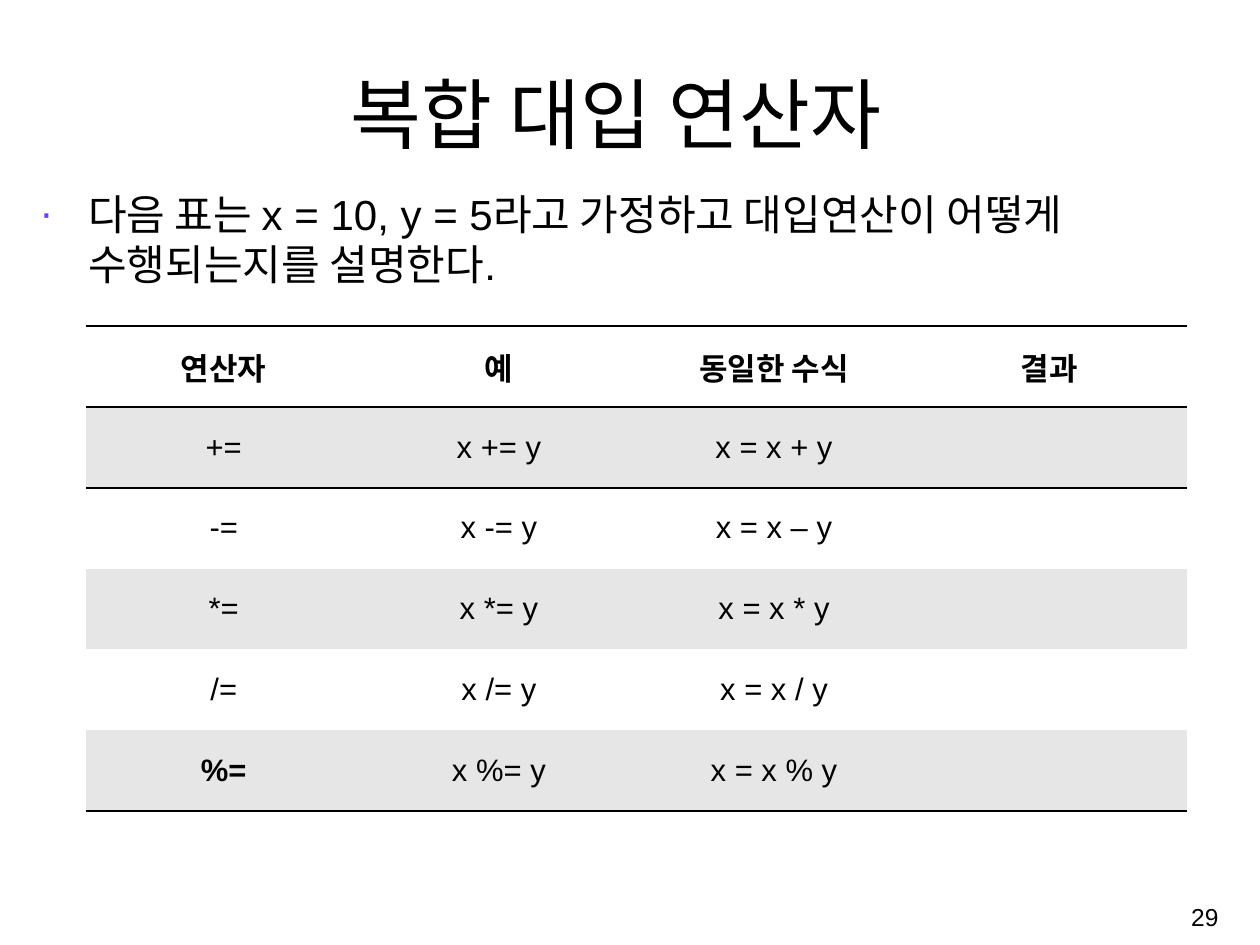
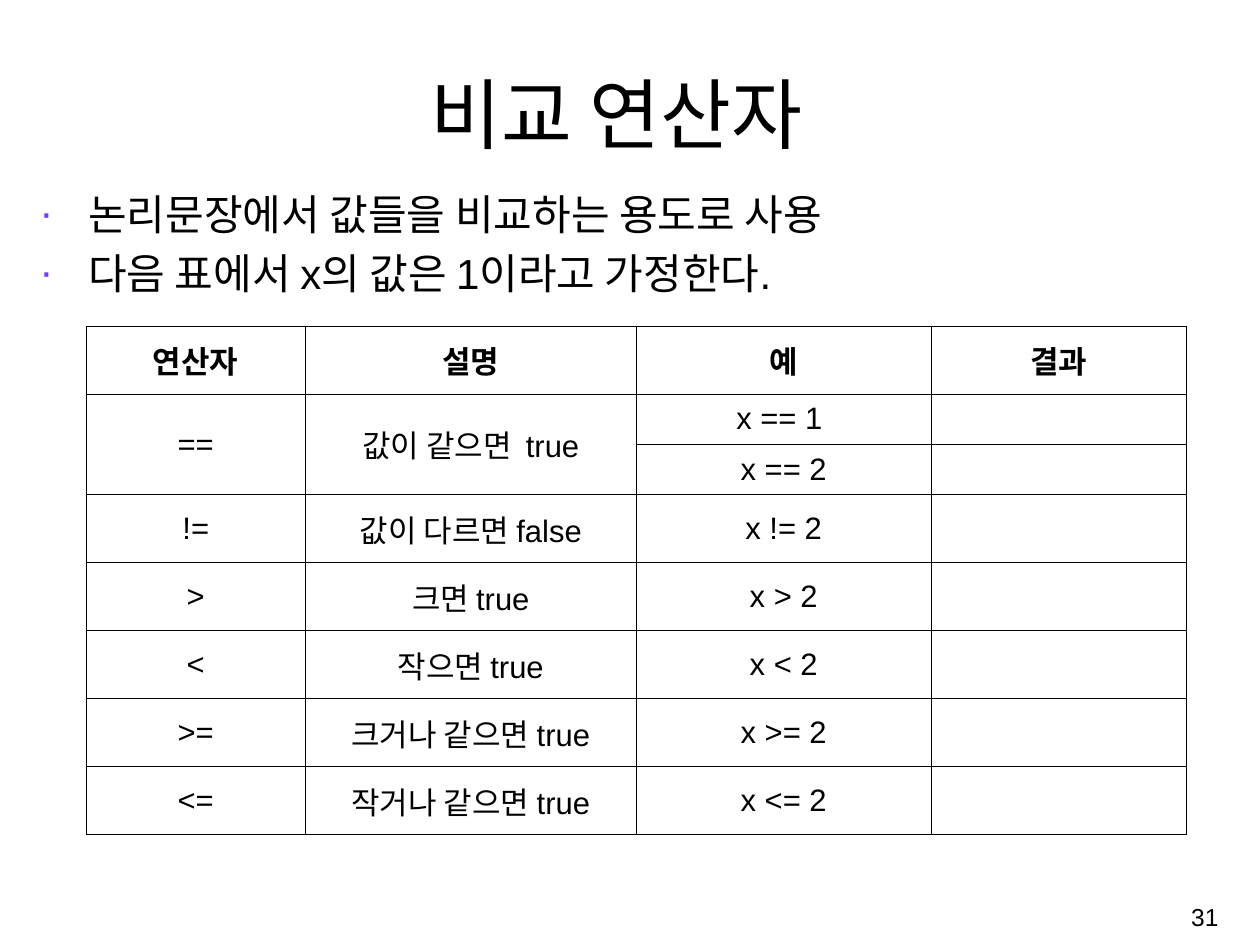
from lxml.etree import SubElement
from pptx import Presentation
from pptx.dml.color import RGBColor
from pptx.enum.text import MSO_ANCHOR, MSO_AUTO_SIZE, PP_ALIGN
from pptx.oxml.ns import qn
from pptx.util import Pt

COLORS = {"text": "000000", "bullet": "703DFF", "band": "E6E6E6", "paper": "FFFFFF"}
FONT = "Arial"
PLAIN_TABLE_STYLE = "{2D5ABB26-0587-4C30-8999-92F81FD0307C}"
TITLE_BOX = (75.6, 44, 764, 77.8)
BODY_BOX = (23, 136, 887, 508)
NUMBER_BOX = (718.6, 658.8, 193, 43)
TABLE_LEFT, TABLE_TOP = 64, 242
HANGING = 35.3

SLIDES = [
    {
        "title": "복합 대입 연산자",
        "points": ["다음 표는 x = 10, y = 5라고 가정하고 대입연산이 어떻게 수행되는지를 설명한다."],
        "number": "29",
        "columns": [204.25] * 4,
        "heights": [60] * 6,
        "rows": [
            ("연산자", "예", "동일한 수식", "결과"),
            ("+=", "x += y", "x = x + y", ""),
            ("-=", "x -= y", "x = x – y", ""),
            ("*=", "x *= y", "x = x * y", ""),
            ("/=", "x /= y", "x = x / y", ""),
            ("%=", "x %= y", "x = x % y", ""),
        ],
        "bold_cells": [(5, 0)],
        "merges": [],
        "banded": True,
    },
    {
        "title": "비교 연산자",
        "points": ["논리문장에서 값들을 비교하는 용도로 사용", "다음 표에서 x의 값은 1이라고 가정한다."],
        "number": "31",
        "columns": [162.7, 245.6, 219, 189.4],
        "heights": [50.5, 37.3, 37.3] + [50.5] * 5,
        "rows": [
            ("연산자", "설명", "예", "결과"),
            ("==", "값이 같으면  true", "x == 1 ", ""),
            ("", "", "x == 2", ""),
            ("!=", "값이 다르면 false", "x != 2", ""),
            (">", "크면 true", "x > 2", ""),
            ("<", "작으면 true", "x < 2", ""),
            (">=", "크거나 같으면 true", "x >= 2", ""),
            ("<=", "작거나 같으면 true", "x <= 2", ""),
        ],
        "bold_cells": [],
        "merges": [((1, 0), (2, 0)), ((1, 1), (2, 1))],
        "banded": False,
    },
]


def place(shape, box):
    shape.left, shape.top, shape.width, shape.height = map(Pt, box)


def style_para(para, size, align, bold=False):
    para.alignment = align
    for span in para.runs:
        span.font.name = FONT
        span.font.size = Pt(size)
        span.font.bold = bold
        span.font.color.rgb = RGBColor.from_string(COLORS["text"])


def fill_box(shape, box, text, size, align, anchor):
    place(shape, box)
    frame = shape.text_frame
    frame.text = text
    frame.word_wrap = True
    frame.auto_size = MSO_AUTO_SIZE.NONE
    frame.vertical_anchor = anchor
    for para in frame.paragraphs:
        style_para(para, size, align)
    return frame


def add_bullet(para, gap):
    para.space_before = Pt(gap)
    properties = para._p.get_or_add_pPr()
    properties.set("marL", str(Pt(HANGING)))
    properties.set("indent", str(-Pt(HANGING)))
    color = SubElement(properties, qn("a:buClr"))
    SubElement(color, qn("a:srgbClr"), val=COLORS["bullet"])
    SubElement(properties, qn("a:buChar"), char="∙")


def add_borders(cell, sides, width):
    properties = cell._tc.get_or_add_tcPr()
    for side in sides:
        line = SubElement(properties, qn("a:ln" + side), w=str(Pt(width)))
        fill = SubElement(line, qn("a:solidFill"))
        SubElement(fill, qn("a:srgbClr"), val=COLORS["text"])


def border_rule(row, last_row, banded):
    if not banded:
        return "LRTB", 1
    if row == 0:
        return "TB", 2
    if row == 1:
        return "T", 2
    return ("B" if row == last_row else ""), 2


def add_operator_table(page, content):
    rows, columns, heights = content["rows"], content["columns"], content["heights"]
    box = (TABLE_LEFT, TABLE_TOP, sum(columns), sum(heights))
    table = page.shapes.add_table(len(rows), len(columns), *map(Pt, box)).table
    table.first_row = table.horz_banding = False
    table._tbl.tblPr.find(qn("a:tableStyleId")).text = PLAIN_TABLE_STYLE
    for column, width in zip(table.columns, columns):
        column.width = Pt(width)
    for row, height in zip(table.rows, heights):
        row.height = Pt(height)
    for r, texts in enumerate(rows):
        sides, width = border_rule(r, len(rows) - 1, content["banded"])
        for c, text in enumerate(texts):
            cell = table.cell(r, c)
            cell.text = text
            cell.vertical_anchor = MSO_ANCHOR.MIDDLE
            cell.margin_left = cell.margin_right = Pt(9.4)
            cell.margin_top = cell.margin_bottom = Pt(4.6)
            bold = r == 0 or (r, c) in content["bold_cells"]
            style_para(cell.text_frame.paragraphs[0], 23, PP_ALIGN.CENTER, bold)
            add_borders(cell, sides, width)
            if content["banded"]:
                cell.fill.solid()
                shade = COLORS["band" if r % 2 else "paper"]
                cell.fill.fore_color.rgb = RGBColor.from_string(shade)
            else:
                cell.fill.background()
    for first, last in content["merges"]:
        table.cell(*first).merge(table.cell(*last))


def build_page(deck, content):
    page = deck.slides.add_slide(deck.slide_layouts[1])
    fill_box(page.shapes.title, TITLE_BOX, content["title"], 57.2,
             PP_ALIGN.CENTER, MSO_ANCHOR.BOTTOM)
    body = fill_box(page.placeholders[1], BODY_BOX, "\n".join(content["points"]), 31.2,
                    PP_ALIGN.LEFT, MSO_ANCHOR.TOP)
    for index, para in enumerate(body.paragraphs):
        add_bullet(para, 6.2 if index else 0)
    add_operator_table(page, content)
    number = page.shapes.add_textbox(*map(Pt, NUMBER_BOX))
    fill_box(number, NUMBER_BOX, content["number"], 18.2, PP_ALIGN.RIGHT, MSO_ANCHOR.MIDDLE)


def main():
    deck = Presentation()
    deck.slide_width, deck.slide_height = Pt(935.3), Pt(701.3)
    for content in SLIDES:
        build_page(deck, content)
    deck.save("out.pptx")


if __name__ == "__main__":
    main()
